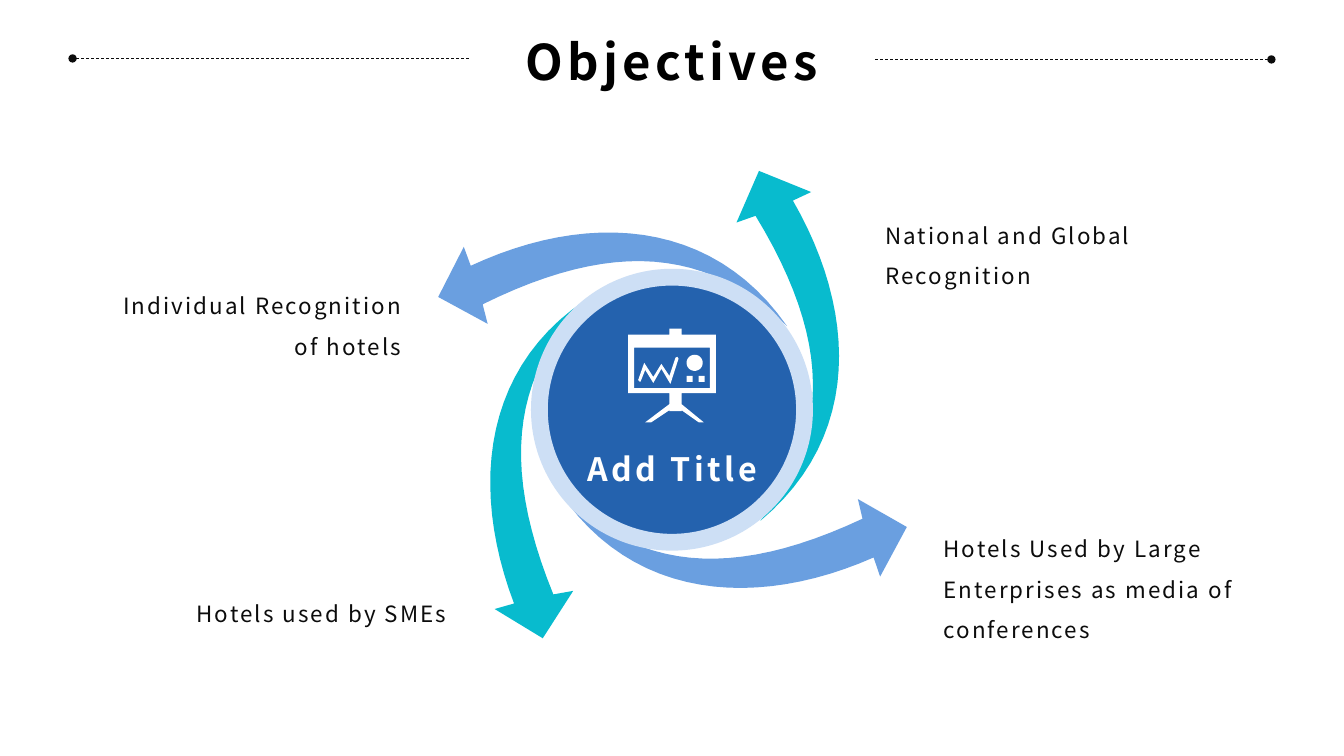
import dataclasses
import math

import lxml.etree
import pptx
import pptx.dml.color
import pptx.enum.dml
import pptx.enum.shapes
import pptx.enum.text
import pptx.oxml.ns
import pptx.util

Inches = pptx.util.Inches
ALIGN = pptx.enum.text.PP_ALIGN


@dataclasses.dataclass(frozen=True)
class Theme:
    font: str = "Noto Sans CJK SC"
    ink: str = "0C0C0C"
    heading: str = "000000"
    white: str = "FFFFFF"
    hub: str = "2462AE"
    ring: str = "CDDFF5"
    blue: str = "6A9FE0"
    teal: str = "08BBCE"
    heading_size: float = 35
    hub_size: float = 23
    label_size: float = 16


def curve(start, control_a, control_b, end, steps=24):
    points = []
    for step in range(1, steps + 1):
        t = step / steps
        weights = ((1 - t) ** 3, 3 * t * (1 - t) ** 2, 3 * t * t * (1 - t), t ** 3)
        corners = (start, control_a, control_b, end)
        points.append(tuple(sum(w * c[axis] for w, c in zip(weights, corners))
                            for axis in (0, 1)))
    return points


def box(left, top, right, bottom):
    return [(left, top), (right, top), (right, bottom), (left, bottom)]


def disc(x, y, radius, steps=36):
    angles = [math.tau * step / steps for step in range(steps)]
    return [(x + radius * math.cos(a), y + radius * math.sin(a)) for a in angles]


def turned(points, center, degrees):
    cos, sin = math.cos(math.radians(degrees)), math.sin(math.radians(degrees))
    return [(center[0] + x * cos - y * sin, center[1] + x * sin + y * cos)
            for x, y in points]


class SlideBuilder:
    def __init__(self, slide, theme):
        self.slide = slide
        self.theme = theme

    def color(self, value):
        return pptx.dml.color.RGBColor.from_string(value)

    def paint(self, shape, fill):
        shape.shadow.inherit = False
        shape.fill.solid()
        shape.fill.fore_color.rgb = self.color(fill)
        shape.line.fill.background()

    def add_lines(self, frame, lines, size, color, align, spacing, bold=False, leading=1.0):
        for index, line in enumerate(lines):
            paragraph = frame.paragraphs[0] if index == 0 else frame.add_paragraph()
            paragraph.alignment = align
            paragraph.line_spacing = leading
            run = paragraph.add_run()
            run.text = line
            run.font.name = self.theme.font
            run.font.size = pptx.util.Pt(size)
            run.font.bold = bold
            run.font.color.rgb = self.color(color)
            run._r.get_or_add_rPr().set("spc", str(int(spacing * 100)))

    def heading(self, text, left, top, width, height):
        title = self.slide.shapes.title
        title.left, title.top = Inches(left), Inches(top)
        title.width, title.height = Inches(width), Inches(height)
        frame = title.text_frame
        frame.auto_size = pptx.enum.text.MSO_AUTO_SIZE.NONE
        frame.vertical_anchor = pptx.enum.text.MSO_ANCHOR.MIDDLE
        self.add_lines(frame, [text], self.theme.heading_size, self.theme.heading,
                       ALIGN.CENTER, 3, bold=True)

    def text(self, lines, left, top, width, height, wrap=True, **style):
        frame = self.slide.shapes.add_textbox(
            Inches(left), Inches(top), Inches(width), Inches(height)).text_frame
        frame.word_wrap = wrap
        self.add_lines(frame, lines, **style)

    def label(self, lines, left, top, height, align):
        self.text(lines, left, top, 3.14, height, size=self.theme.label_size,
                  color=self.theme.ink, align=align, spacing=1.5, leading=1.5)

    def rule(self, start, end, dotted_end):
        line = self.slide.shapes.add_connector(
            pptx.enum.shapes.MSO_CONNECTOR.STRAIGHT,
            *(Inches(value) for value in start + end))
        line.line.color.rgb = self.color(self.theme.ink)
        line.line.width = pptx.util.Pt(0.5)
        line.line.dash_style = pptx.enum.dml.MSO_LINE.DASH
        qn = pptx.oxml.ns.qn
        properties = line._element.spPr
        dot = lxml.etree.SubElement(properties.find(qn("a:ln")), qn("a:" + dotted_end))
        dot.set("type", "oval")
        lxml.etree.SubElement(properties, qn("a:effectLst"))

    def outline(self, contours, fill):
        builder = None
        for contour in contours:
            first, *rest = [(Inches(x), Inches(y)) for x, y in contour]
            if builder is None:
                builder = self.slide.shapes.build_freeform(*first)
            else:
                builder.move_to(*first)
            builder.add_line_segments(rest, close=True)
        self.paint(builder.convert_to_shape(), fill)

    def ringed_circle(self, left, top, size):
        hub = self.slide.shapes.add_shape(
            pptx.enum.shapes.MSO_SHAPE.OVAL,
            Inches(left), Inches(top), Inches(size), Inches(size))
        self.paint(hub, self.theme.hub)
        hub.line.color.rgb = self.color(self.theme.ring)
        hub.line.width = pptx.util.Pt(12)


TAIL = (0.84, -1.61)
OUTER_NECK, INNER_NECK = (-0.66, 1.21), (-0.26, 1.21)
ARROW = [
    (-0.86, 1.22), OUTER_NECK,
    *curve(OUTER_NECK, (-0.83, -0.03), (-0.42, -1.21), TAIL),
    *curve(TAIL, (-0.13, -1.09), (-0.49, -0.22), INNER_NECK),
    (-0.06, 1.22), (-0.46, 1.61),
]

TREND = [(6.33, 3.77), (6.39, 3.6), (6.48, 3.74), (6.56, 3.61), (6.64, 3.73),
         (6.7, 3.55), (6.72, 3.54), (6.73, 3.56), (6.65, 3.81), (6.56, 3.66),
         (6.48, 3.8), (6.4, 3.67), (6.36, 3.77), (6.35, 3.79)]
EASEL = [(7.1, 3.32), (7.1, 3.9), (6.76, 3.9), (6.76, 4.01), (6.98, 4.19),
         (6.93, 4.19), (6.76, 4.07), (6.76, 4.08), (6.64, 4.08), (6.64, 4.07),
         (6.46, 4.19), (6.4, 4.19), (6.64, 4.01), (6.64, 3.9), (6.23, 3.9),
         (6.23, 3.32), (6.64, 3.32), (6.64, 3.26), (6.76, 3.26), (6.76, 3.32)]
PRESENTATION_ICON = [
    EASEL, box(6.29, 3.45, 7.04, 3.85), TREND, disc(6.89, 3.6, 0.08),
    box(6.81, 3.73, 6.87, 3.79), box(6.93, 3.73, 6.99, 3.79),
]


def main():
    theme = Theme()
    deck = pptx.Presentation()
    deck.slide_width, deck.slide_height = Inches(13.33), Inches(7.5)
    page = SlideBuilder(deck.slides.add_slide(deck.slide_layouts[5]), theme)

    page.heading("Objectives", 1.94, 0.26, 9.45, 0.69)
    page.rule((0.72, 0.58), (4.66, 0.58), "headEnd")
    page.rule((8.68, 0.59), (12.61, 0.59), "tailEnd")

    for center, angle, fill in [
        ((6.02, 2.91), 72.8, theme.blue),
        ((5.47, 4.66), 347, theme.teal),
        ((7.32, 5.23), 254, theme.blue),
        ((7.71, 3.36), 157.8, theme.teal),
    ]:
        page.outline([turned(ARROW, center, angle)], fill)

    page.ringed_circle(5.35, 2.75, 2.63)
    page.outline(PRESENTATION_ICON, theme.white)
    page.text(["Add Title"], 5.68, 4.41, 1.98, 0.49, wrap=False, size=theme.hub_size,
              color=theme.white, align=ALIGN.CENTER, spacing=2.5, bold=True)

    for lines, left, top, height, align in [
        (["Individual Recognition", "of hotels"], 0.94, 2.72, 0.91, ALIGN.RIGHT),
        (["Hotels used by SMEs"], 1.39, 5.77, 0.5, ALIGN.RIGHT),
        (["Hotels Used by Large Enterprises as media of conferences"],
         9.26, 5.13, 1.31, ALIGN.LEFT),
        (["National and Global Recognition"], 8.68, 2.02, 0.91, ALIGN.LEFT),
    ]:
        page.label(lines, left, top, height, align)

    deck.save("out.pptx")


if __name__ == "__main__":
    main()
